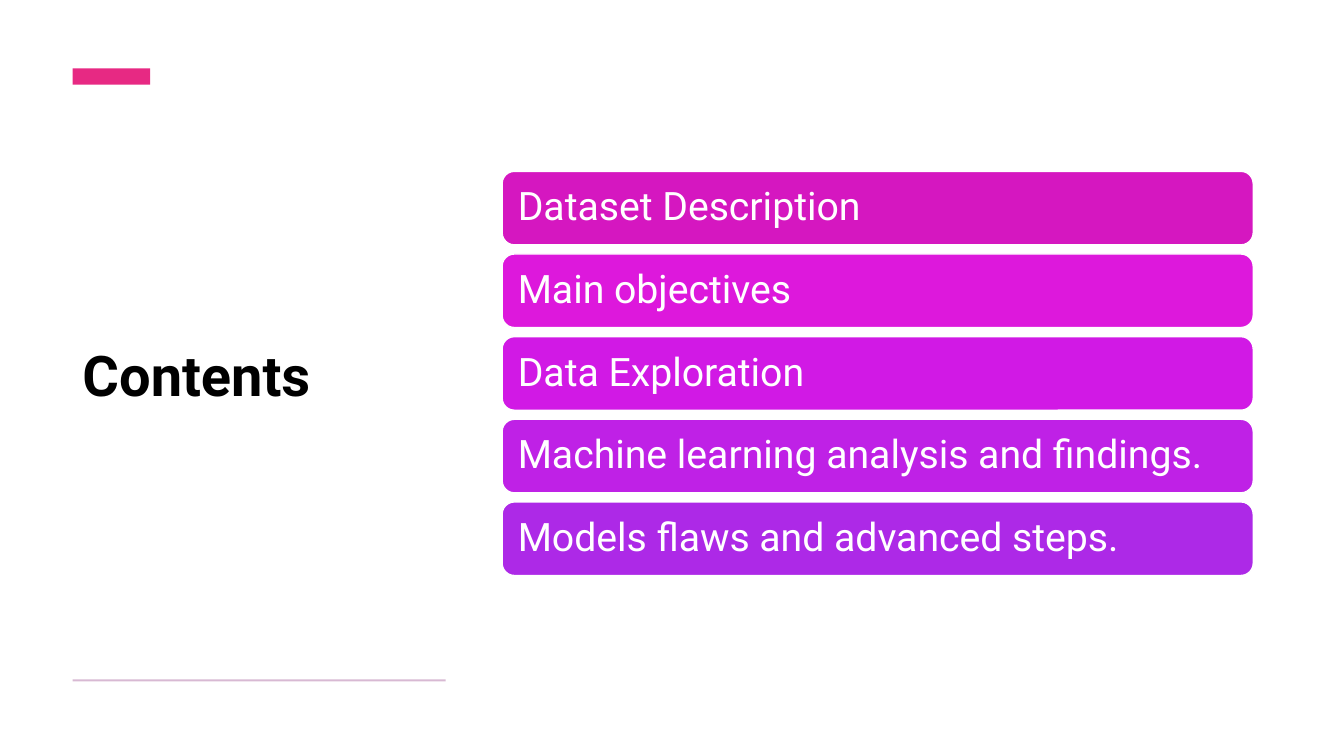
"""Build the contents slide with a title and five topic bars."""
from pptx import Presentation
from pptx.dml.color import RGBColor
from pptx.enum.shapes import MSO_SHAPE
from pptx.enum.text import MSO_ANCHOR, PP_ALIGN
from pptx.util import Inches, Pt

TITLE = "Contents"
TOPICS = [
    ("Dataset Description", "D517C0"),
    ("Main objectives", "DD18DC"),
    ("Data Exploration", "D119E5"),
    ("Machine learning analysis and findings.", "BF21E6"),
    ("Models flaws and advanced steps.", "AD29E7"),
]
THEME = {
    "font": "Roboto", "title": 40, "topic": 28,
    "black": "000000", "white": "FFFFFF", "accent": "E72983", "rule": "D8B9D3",
}
LEFT, WIDTH = 0.72, 3.7
BAR_X, BAR_Y, BAR_W, BAR_H, PITCH = 4.98, 1.7, 7.45, 0.73, 0.82


def color(code):
    return RGBColor.from_string(code)


def block(slide, kind, box, fill, line=None):
    shape = slide.shapes.add_shape(kind, *map(Inches, box))
    shape.shadow.inherit = False
    shape.fill.solid()
    shape.fill.fore_color.rgb = color(fill)
    if line:
        shape.line.color.rgb = color(line)
        shape.line.width = Pt(1)
    else:
        shape.line.fill.background()
    return shape


def write(shape, text, size, ink, bold=False):
    frame = shape.text_frame
    frame.word_wrap = True
    frame.vertical_anchor = MSO_ANCHOR.MIDDLE
    para = frame.paragraphs[0]
    para.text = text
    para.alignment = PP_ALIGN.LEFT
    para.line_spacing = 0.9
    font = para.font
    font.name, font.size, font.bold = THEME["font"], Pt(size), bold
    font.color.rgb = color(ink)
    return frame


def main():
    deck = Presentation()
    deck.slide_width, deck.slide_height = Inches(13.33), Inches(7.5)
    slide = deck.slides.add_slide(deck.slide_layouts[6])

    title = slide.shapes.add_textbox(*map(Inches, (LEFT, 1.05, WIDTH, 5.41)))
    write(title, TITLE, THEME["title"], THEME["black"], True)
    block(slide, MSO_SHAPE.RECTANGLE, (LEFT, 0.68, 0.77, 0.16), THEME["accent"])
    block(slide, MSO_SHAPE.RECTANGLE, (LEFT, 6.74, WIDTH, 0.02), THEME["rule"])

    for row, (text, fill) in enumerate(TOPICS):
        box = (BAR_X, BAR_Y + row * PITCH, BAR_W, BAR_H)
        bar = block(slide, MSO_SHAPE.ROUNDED_RECTANGLE, box, fill, THEME["white"])
        frame = write(bar, text, THEME["topic"], THEME["white"])
        frame.margin_left = frame.margin_right = Inches(0.12)
        frame.margin_top = frame.margin_bottom = Inches(0.12)

    deck.save("out.pptx")


if __name__ == "__main__":
    main()
